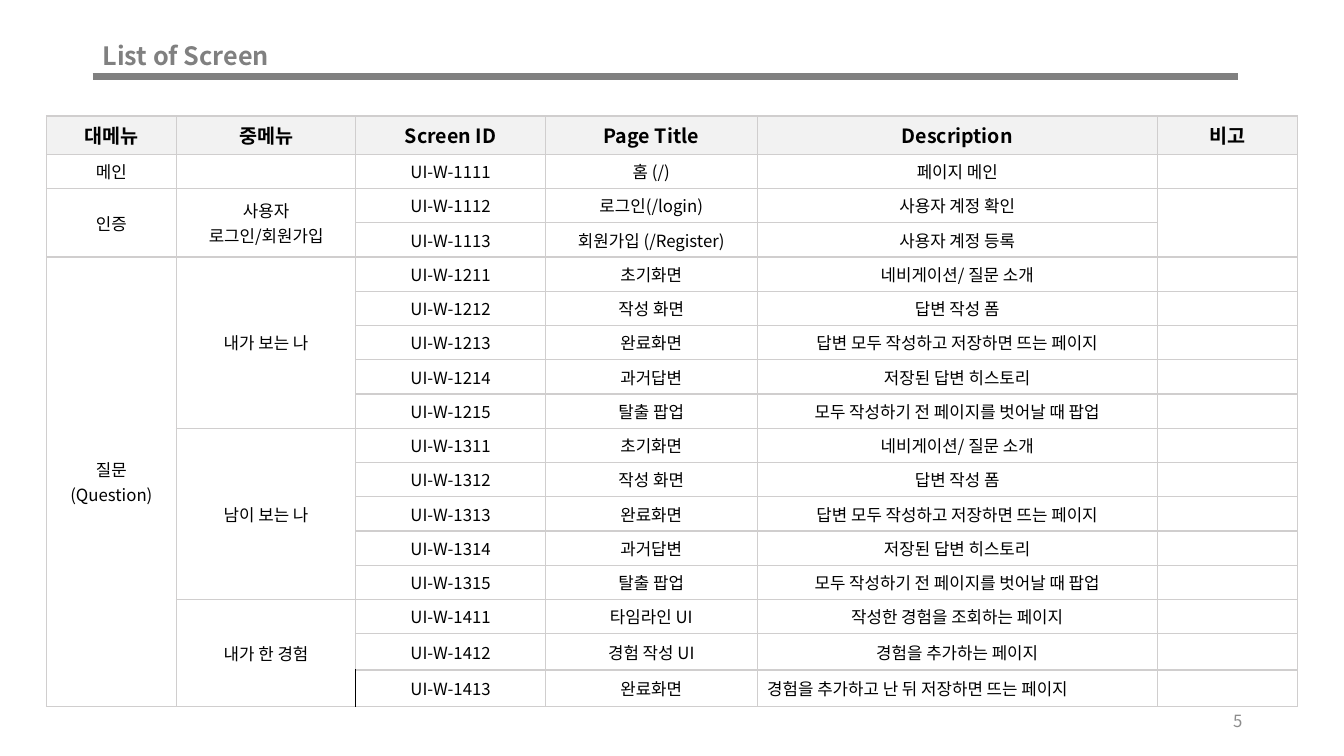
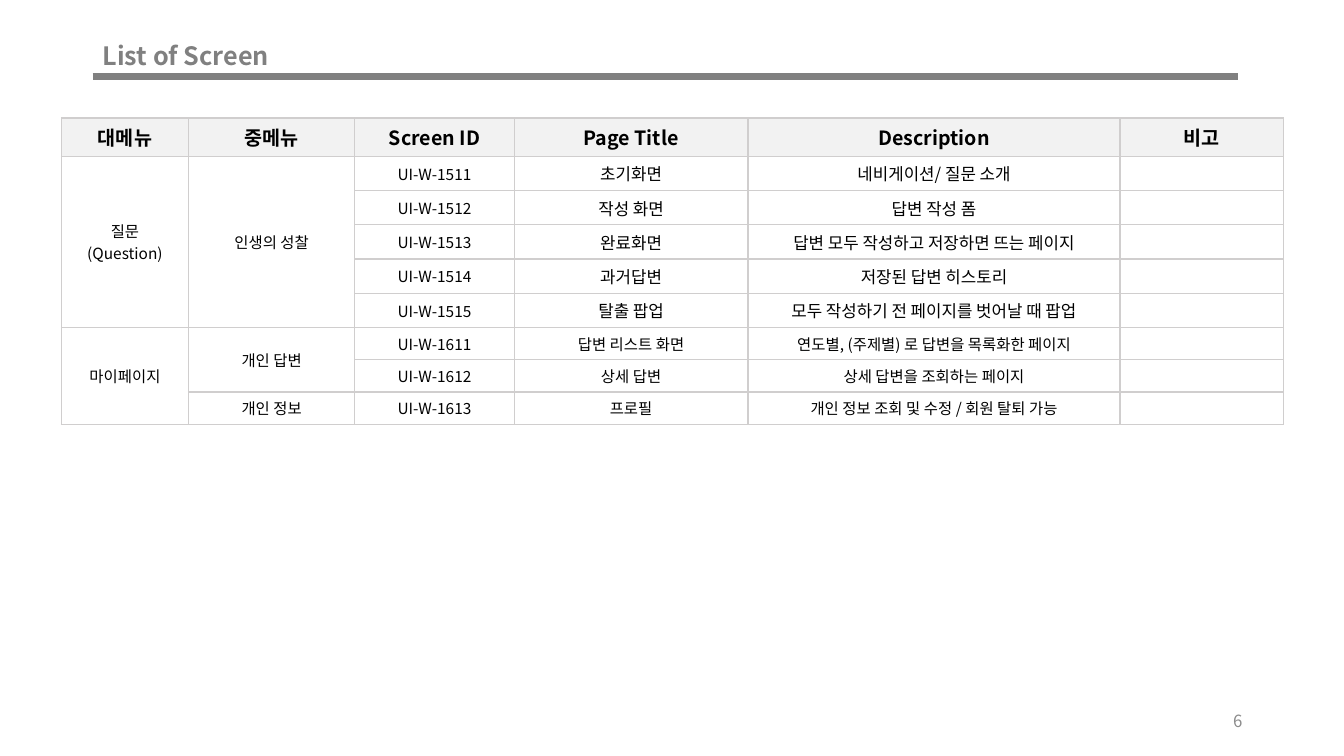
import copy

import lxml.etree
import pptx
import pptx.dml.color
import pptx.enum.shapes
import pptx.enum.text
import pptx.oxml.ns
import pptx.util

Inches = pptx.util.Inches
Pt = pptx.util.Pt
qn = pptx.oxml.ns.qn
ALIGN = pptx.enum.text.PP_ALIGN
MIDDLE = pptx.enum.text.MSO_ANCHOR.MIDDLE

FONT = "Noto Sans CJK KR"
COLORS = {
    "title": "808080",
    "number": "8C8C8C",
    "text": "000000",
    "head": "F2F2F2",
    "body": "FFFFFF",
    "grid": "D0CECE",
    "mark": "000000",
}
HEADS = ("대메뉴", "중메뉴", "Screen ID", "Page Title", "Description", "비고")
STEPS = (
    ("초기화면", "네비게이션/ 질문 소개"),
    ("작성 화면", "답변 작성 폼"),
    ("완료화면", "답변 모두 작성하고 저장하면 뜨는 페이지"),
    ("과거답변", "저장된 답변 히스토리"),
    ("탈출 팝업", "모두 작성하기 전 페이지를 벗어날 때 팝업"),
)


def rgb(name):
    return pptx.dml.color.RGBColor.from_string(COLORS[name])


def group(major, middle, code, pages):
    """Rows of one middle menu; None continues the cell above."""
    return [
        (major if n == 1 else None, middle if n == 1 else None,
         f"UI-W-{code}{n}", title, about, "")
        for n, (title, about) in enumerate(pages, 1)
    ]


def style(para, size, color, bold=False, align=ALIGN.CENTER):
    para.alignment = align
    font = para.font
    font.size, font.bold, font.name = Pt(size), bold, FONT
    font.color.rgb = rgb(color)
    props = para._p.pPr.find(qn("a:defRPr"))
    lxml.etree.SubElement(props, qn("a:ea"), typeface=FONT)
    if not para.text:
        # An empty line takes its height from its end mark.
        end = lxml.etree.SubElement(para._p, qn("a:endParaRPr"), dict(props.attrib))
        end.extend(copy.deepcopy(list(props)))


def label(slide, box, text, size, color, bold=False, align=ALIGN.LEFT):
    frame = slide.shapes.add_textbox(*map(Inches, box)).text_frame
    frame.word_wrap = True
    frame.vertical_anchor = MIDDLE
    frame.text = text
    style(frame.paragraphs[0], size, color, bold, align)
    return frame.paragraphs[0]


def edge(cell, side, color):
    """Draw one border; sides must be drawn in the order L, R, T, B."""
    props = cell._tc.get_or_add_tcPr()
    tag = qn(f"a:ln{side}")
    for old in props.findall(tag):
        props.remove(old)
    line = lxml.etree.Element(tag, w=str(Pt(1)))
    fill = lxml.etree.SubElement(line, qn("a:solidFill"))
    lxml.etree.SubElement(fill, qn("a:srgbClr"), val=COLORS[color])
    props.insert("LRTB".index(side), line)


def fill_cell(cell, text, size, head):
    cell.fill.solid()
    cell.fill.fore_color.rgb = rgb("head" if head else "body")
    cell.vertical_anchor = MIDDLE
    cell.text = text or ""
    for para in cell.text_frame.paragraphs:
        style(para, size, "text", head)
    for side in "LRTB":
        edge(cell, side, "grid")


def merge(table, rows):
    """Join every cell with the None cells below it."""
    for col in range(len(HEADS)):
        top = 0
        for row in range(1, len(rows) + 1):
            if row < len(rows) and rows[row][col] is None:
                continue
            if row - top > 1:
                table.cell(top, col).merge(table.cell(row - 1, col))
            top = row


def grid(slide, left, top, widths, heights, body, size):
    """Add a screen table; size gives the points for a row and column."""
    rows = [HEADS, *body]
    heights = [0.38, *heights]
    box = (left, top, sum(widths), sum(heights))
    table = slide.shapes.add_table(len(rows), len(HEADS), *map(Inches, box)).table
    table.horz_banding = False
    for col, width in zip(table.columns, widths):
        col.width = Inches(width)
    for line, height in zip(table.rows, heights):
        line.height = Inches(height)
    for row, texts in enumerate(rows):
        for col, text in enumerate(texts):
            points = size(row, col) if row else 14
            fill_cell(table.cell(row, col), text, points, row == 0)
    merge(table, rows)
    return table


def base(deck, number):
    slide = deck.slides.add_slide(deck.slide_layouts[6])
    title = label(slide, (0.92, 0.19, 4.52, 0.75), "List of Screen", 18, "title", True)
    title.line_spacing = 0.9
    rule = slide.shapes.add_connector(
        pptx.enum.shapes.MSO_CONNECTOR.STRAIGHT,
        *map(Inches, (0.92, 0.76, 12.28, 0.76)))
    rule.line.color.rgb = rgb("title")
    rule.line.width = Pt(4.5)
    lxml.etree.SubElement(rule._element.spPr, qn("a:effectLst"))
    label(slide, (9.42, 6.95, 3, 0.4), str(number), 12, "number", align=ALIGN.RIGHT)
    return slide


def main_list(slide):
    body = [
        ("메인", "", "UI-W-1111", "홈 (/)", "페이지 메인", ""),
        ("인증", "사용자\n로그인/회원가입", "UI-W-1112", "로그인(/login)", "사용자 계정 확인", ""),
        (None, None, "UI-W-1113", "회원가입 (/Register)", "사용자 계정 등록", None),
        *group("질문\n(Question)", "내가 보는 나", 121, STEPS),
        *group(None, "남이 보는 나", 131, STEPS),
        *group(None, "내가 한 경험", 141, (
            ("타임라인 UI", "작성한 경험을 조회하는 페이지"),
            ("경험 작성 UI", "경험을 추가하는 페이지"),
            ("완료화면", "경험을 추가하고 난 뒤 저장하면 뜨는 페이지"),
        )),
    ]
    table = grid(slide, 0.46, 1.15, (1.29, 1.78, 1.88, 2.1, 3.97, 1.39),
                 [0.34] * 14 + [0.36] * 2, body, lambda row, col: 12)
    last = len(body)
    edge(table.cell(last, 2), "L", "mark")
    table.cell(last, 4).text_frame.paragraphs[0].alignment = ALIGN.LEFT


def more_list(slide):
    body = [
        *group("질문\n(Question)", "인생의 성찰", 151, STEPS),
        *group("마이페이지", "개인 답변", 161, (
            ("답변 리스트 화면", "연도별, (주제별) 로 답변을 목록화한 페이지"),
            ("상세 답변", "상세 답변을 조회하는 페이지"),
        )),
        (None, "개인 정보", "UI-W-1613", "프로필", "개인 정보 조회 및 수정 / 회원 탈퇴 가능", ""),
    ]
    steps = len(STEPS)
    grid(slide, 0.61, 1.17, (1.26, 1.65, 1.58, 2.32, 3.69, 1.62),
         [0.34] * steps + [0.32] * 3, body,
         lambda row, col: 12 if row <= steps and col > 2 else 11)


def main():
    deck = pptx.Presentation()
    deck.slide_width, deck.slide_height = Inches(13.33), Inches(7.5)
    for number, build in enumerate((main_list, more_list), 5):
        build(base(deck, number))
    deck.save("out.pptx")


if __name__ == "__main__":
    main()
